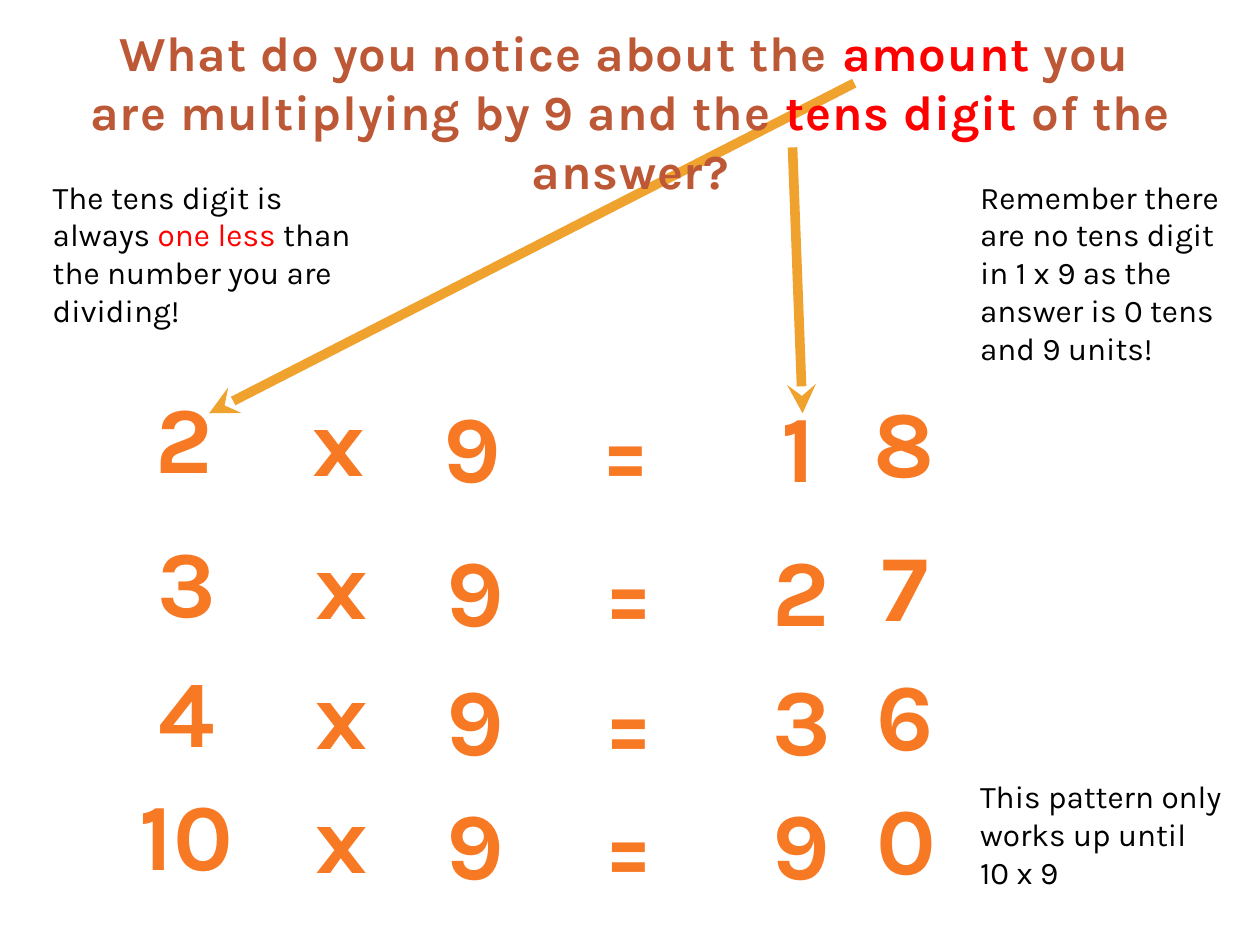
from dataclasses import dataclass

from lxml import etree
from pptx import Presentation
from pptx.dml.color import RGBColor
from pptx.enum.shapes import MSO_CONNECTOR
from pptx.enum.text import MSO_AUTO_SIZE, PP_ALIGN
from pptx.oxml.ns import qn
from pptx.util import Inches, Pt

STRAIGHT = MSO_CONNECTOR.STRAIGHT
GROW = MSO_AUTO_SIZE.SHAPE_TO_FIT_TEXT
CENTER, LEFT = PP_ALIGN.CENTER, PP_ALIGN.LEFT


@dataclass(frozen=True)
class Theme:
    font: str = "Karla"
    title_size: int = 28
    note_size: int = 18
    number_size: int = 54
    title_spacing: float = 0.5
    arrow_width: float = 5.5
    ink: str = "000000"
    accent: str = "FF0000"
    arrow: str = "F0A22E"
    title_fill: tuple = ((25, "BD5836"), (100, "893D23"))
    number_fill: tuple = ((0, "743A00"), (78, "F87924"), (100, "FEF1EC"))


THEME = Theme()


def fill_gradient(run, stops):
    """Fill the run's letters from top to bottom with (percent, colour) stops."""
    run.font.fill.gradient()
    run.font.fill.gradient_angle = 270
    stop_list = run.font._element.find(".//" + qn("a:gsLst"))
    for default_stop in list(stop_list):
        stop_list.remove(default_stop)
    for percent, colour in stops:
        stop = etree.SubElement(stop_list, qn("a:gs"), pos=str(percent * 1000))
        etree.SubElement(stop, qn("a:srgbClr"), val=colour)


def add_text(slide, box, paragraphs, size, align=LEFT, bold=False, wrap=True, spacing=0):
    """Place paragraphs of (text, fill) runs; a fill is a colour or gradient stops."""
    frame = slide.shapes.add_textbox(*map(Inches, box)).text_frame
    frame.word_wrap = wrap
    frame.auto_size = GROW
    for index, runs in enumerate(paragraphs):
        paragraph = frame.add_paragraph() if index else frame.paragraphs[0]
        paragraph.alignment = align
        for text, fill in runs:
            run = paragraph.add_run()
            run.text = text
            run.font.name = THEME.font
            run.font.size = Pt(size)
            run.font.bold = bold
            if isinstance(fill, str):
                run.font.color.rgb = RGBColor.from_string(fill)
            else:
                fill_gradient(run, fill)
            if spacing:
                run.font._element.set("spc", str(int(spacing * 100)))


def add_arrow(slide, start, end):
    arrow = slide.shapes.add_connector(STRAIGHT, *map(Inches, start + end))
    arrow.line.color.rgb = RGBColor.from_string(THEME.arrow)
    arrow.line.width = Pt(THEME.arrow_width)
    etree.SubElement(arrow.line._get_or_add_ln(), qn("a:tailEnd"), type="stealth")
    etree.SubElement(arrow._element.spPr, qn("a:effectLst"))


def add_title(slide, box):
    plain, accent = THEME.title_fill, THEME.accent
    question = [
        [("What do you notice about the ", plain), ("amount", accent), (" you ", plain)],
        [("are multiplying by 9 and the ", plain), ("tens digit ", accent),
         ("of the answer?", plain)],
    ]
    add_text(slide, box, question, THEME.title_size, CENTER, bold=True,
             spacing=THEME.title_spacing)


def add_note(slide, box, *paragraphs):
    add_text(slide, box, paragraphs, THEME.note_size)


def add_equation(slide, left, top, symbols):
    """Set one multiplication, with each symbol centred on its own column."""
    columns = ((0.32, 0), (1.55, 0.02), (2.61, 0.07),
               (3.83, 0.09), (5.2, 0.07), (6.02, 0.03))
    for symbol, (center, drop) in zip(symbols, columns):
        width = 1.07 if len(symbol) > 1 else 0.62 if symbol == "x" else 0.65
        box = (left + center - width / 2, top + drop, width, 1.01)
        add_text(slide, box, [[(symbol, THEME.number_fill)]], THEME.number_size,
                 CENTER, bold=True, wrap=False)


def main():
    deck = Presentation()
    deck.slide_width, deck.slide_height = Inches(10), Inches(7.5)
    slide = deck.slides.add_slide(deck.slide_layouts[6])
    ink, accent = THEME.ink, THEME.accent

    add_arrow(slide, (6.78, 0.66), (1.66, 3.28))
    add_title(slide, (0.33, 0.13, 9.35, 1.04))
    add_arrow(slide, (6.29, 1.17), (6.37, 3.28))

    add_note(slide, (7.68, 1.36, 2.13, 1.62),
             [("Remember there are no tens digit in 1 x 9 as the answer is "
               "0 tens and 9 units!", ink)])
    add_note(slide, (0.32, 1.36, 2.68, 1.31),
             [("The tens digit is always ", ink), ("one less ", accent),
              ("than the number you are dividing!", ink)])

    equations = ((2, 1.14, 2.96), (3, 1.16, 4.1), (4, 1.16, 5.13), (10, 1.16, 6.11))
    for amount, left, top in equations:
        tens, units = divmod(amount * 9, 10)
        add_equation(slide, left, top, (str(amount), "x", "9", "=", str(tens), str(units)))

    add_note(slide, (7.68, 6.12, 2.13, 1.01),
             [("This pattern only works up until", ink)], [("10 x 9", ink)])
    deck.save("out.pptx")


if __name__ == "__main__":
    main()
